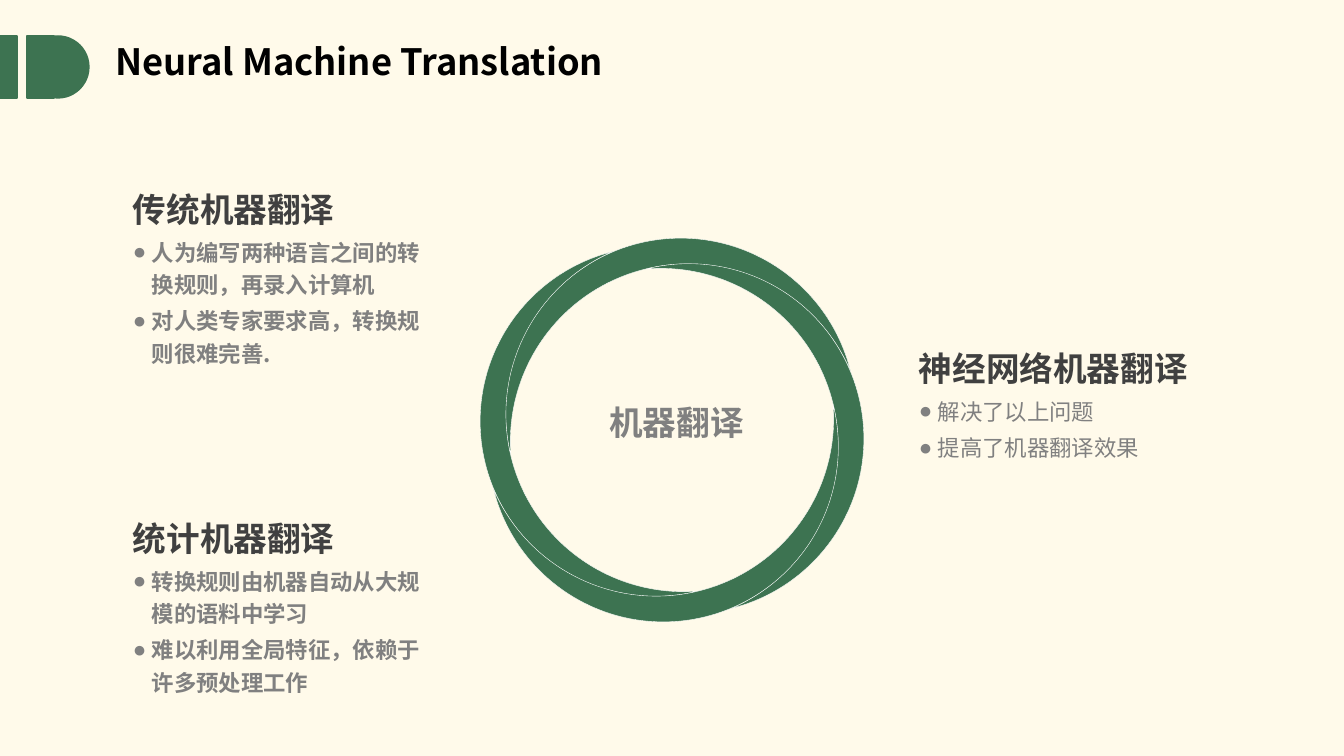
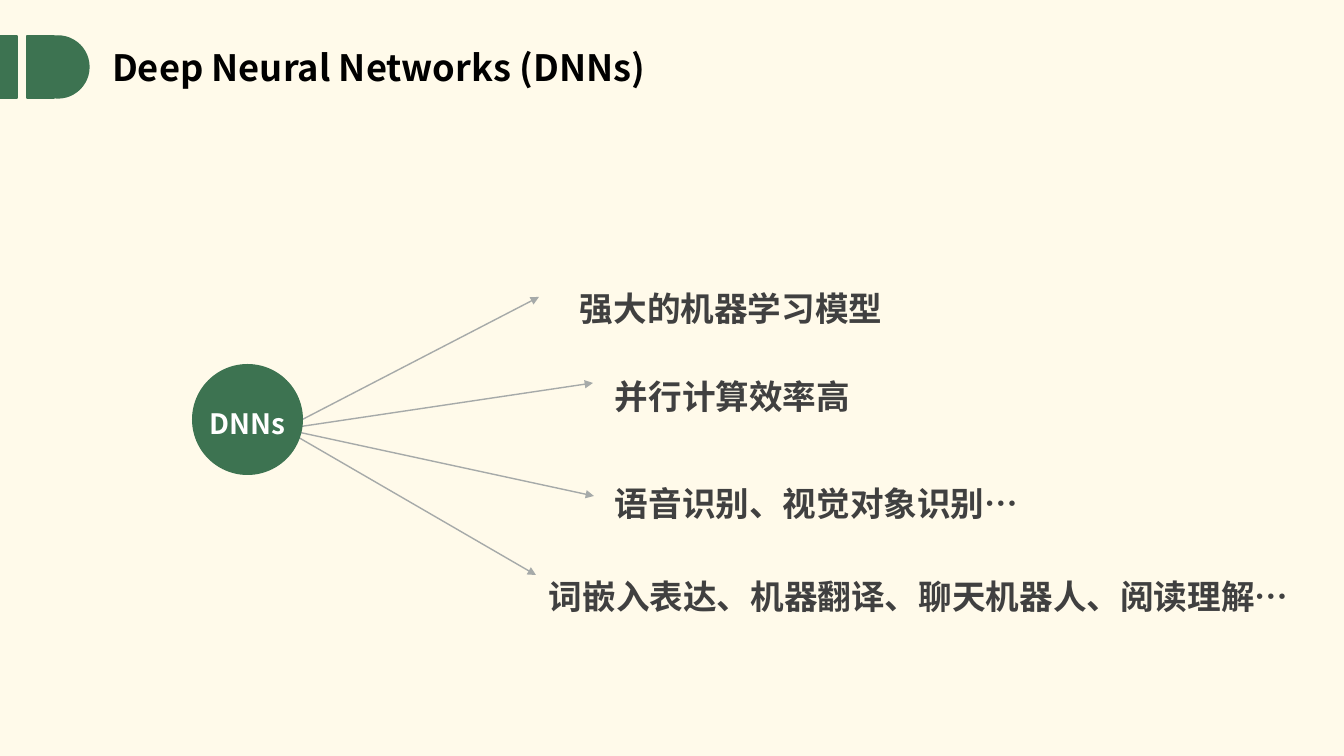
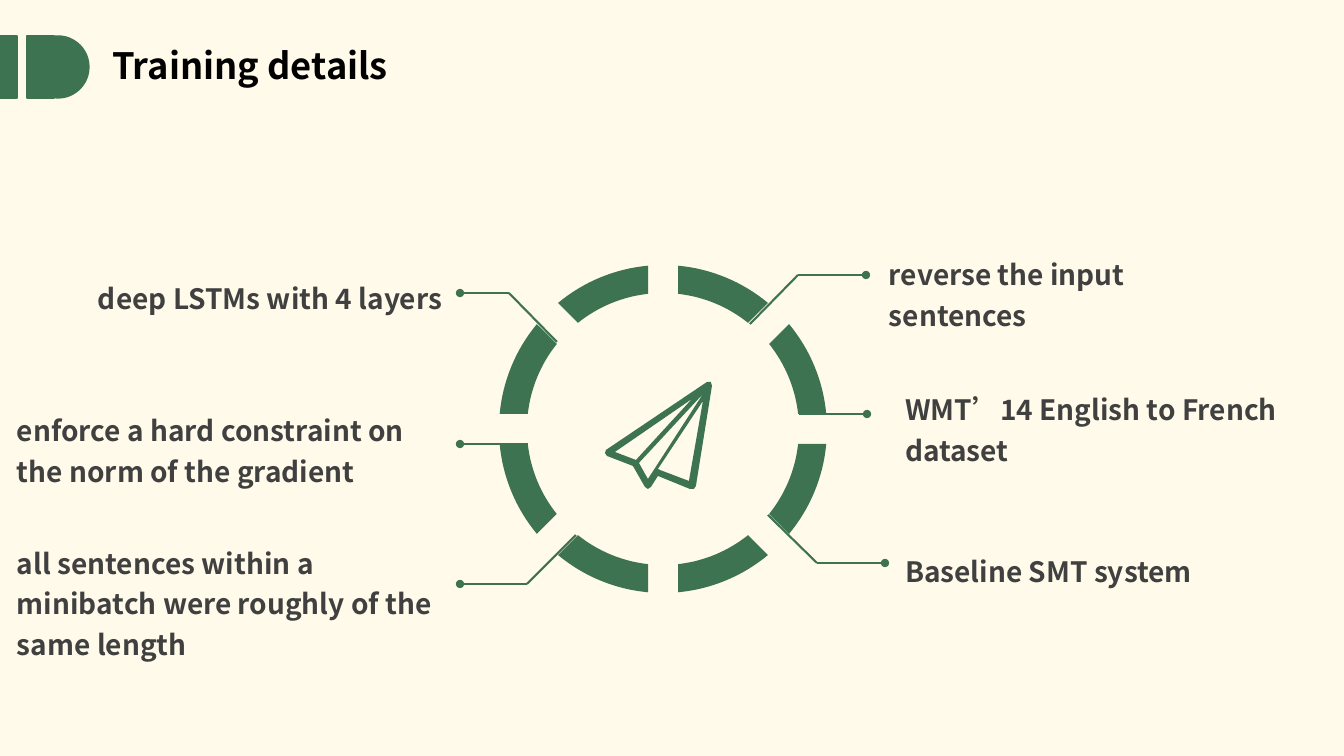
from itertools import pairwise
from math import asin, cos, degrees, radians, sin

from lxml import etree
from pptx import Presentation
from pptx.dml.color import RGBColor
from pptx.enum.shapes import MSO_CONNECTOR, MSO_SHAPE
from pptx.enum.text import MSO_ANCHOR, MSO_AUTO_SIZE, PP_ALIGN
from pptx.oxml.ns import qn
from pptx.util import Pt

PX = 914400 / 100.8
SLIDE_W, SLIDE_H = 1344, 756
TITLE_ONLY = 5

GREEN = RGBColor(0x3D, 0x73, 0x51)
CREAM = RGBColor(0xFF, 0xFA, 0xEA)
WHITE = RGBColor(0xFF, 0xFF, 0xFF)
BLACK = RGBColor(0x00, 0x00, 0x00)
DARK = RGBColor(0x40, 0x40, 0x40)
GREY = RGBColor(0x80, 0x80, 0x80)
ARROW_GREY = RGBColor(0xA6, 0xAA, 0xA9)

SANS = "Noto Sans CJK SC"
LEFT, CENTER = PP_ALIGN.LEFT, PP_ALIGN.CENTER
TOP, MIDDLE = MSO_ANCHOR.TOP, MSO_ANCHOR.MIDDLE
NO_FIT = MSO_AUTO_SIZE.NONE
RECTANGLE, OVAL, MOON = MSO_SHAPE.RECTANGLE, MSO_SHAPE.OVAL, MSO_SHAPE.MOON
STRAIGHT = MSO_CONNECTOR.STRAIGHT


def emu(*lengths):
    return [round(length * PX) for length in lengths]


# Text
def write(paragraph, text, size=24, color=DARK, bold=True, font=SANS,
          align=LEFT, spacing=1.2, before=0, bullet=None):
    if bullet:
        props = paragraph._p.get_or_add_pPr()
        indent, = emu(19)
        props.set("marL", str(indent))
        props.set("indent", str(-indent))
        etree.SubElement(props, qn("a:buFont")).set("typeface", "Arial")
        etree.SubElement(props, qn("a:buChar")).set("char", bullet)
    paragraph.alignment = align
    paragraph.line_spacing = spacing
    paragraph.space_before = Pt(before)
    run = paragraph.add_run()
    run.text = text
    run.font.size = Pt(size)
    run.font.bold = bold
    run.font.name = font
    run.font.color.rgb = color
    etree.SubElement(run.font._element, qn("a:ea")).set("typeface", SANS)


def add_text(slide, box, text, anchor=TOP, **style):
    frame = slide.shapes.add_textbox(*emu(*box)).text_frame
    frame.word_wrap = True
    frame.auto_size = NO_FIT
    frame.vertical_anchor = anchor
    frame.margin_left = frame.margin_right = 0
    frame.margin_top = frame.margin_bottom = 0
    write(frame.paragraphs[0], text, **style)
    return frame


# Shapes and lines
def paint(shape, line=None, width=1):
    shape.shadow.inherit = False
    shape.fill.solid()
    shape.fill.fore_color.rgb = GREEN
    if line is None:
        shape.line.fill.background()
    else:
        shape.line.color.rgb = line
        shape.line.width = Pt(width)
    return shape


def add_preset(slide, kind, box, **outline):
    return paint(slide.shapes.add_shape(kind, *emu(*box)), **outline)


def add_outline(slide, contours):
    """Draw closed contours, given in slide px, as one green shape."""
    first, *others = [[emu(*point) for point in c] for c in contours]
    builder = slide.shapes.build_freeform(*first[0], scale=1.0)
    builder.add_line_segments(first[1:], close=True)
    for contour in others:
        builder.move_to(*contour[0])
        builder.add_line_segments(contour[1:], close=True)
    return paint(builder.convert_to_shape())


def add_line(slide, start, end, color, width, head=None):
    line = slide.shapes.add_connector(STRAIGHT, *emu(*start, *end))
    line.line.color.rgb = color
    line.line.width = Pt(width)
    properties = line.element.spPr
    if head:
        etree.SubElement(properties.find(qn("a:ln")), qn("a:tailEnd")).set("type", head)
    etree.SubElement(properties, qn("a:effectLst"))


# Shared look
def style_layout(layout, slide):
    """Set the cream ground and move the green tab into the layout."""
    layout.background.fill.solid()
    layout.background.fill.fore_color.rgb = CREAM
    for placeholder in list(layout.placeholders):
        if placeholder.placeholder_format.idx != 0:
            placeholder.element.getparent().remove(placeholder.element)
    top, size = 36, 62
    tab = [(RECTANGLE, 0, 17), (RECTANGLE, 27, 27), (OVAL, 27, size)]
    parts = [add_preset(slide, kind, (left, top, width, size), line=GREEN)
             for kind, left, width in tab]
    for part in parts:
        layout.shapes.element.append(part.element)


def add_title(slide, text, left, top):
    title = slide.shapes.title
    title.left, title.top, title.width, title.height = emu(left, top, 869, 47)
    frame = title.text_frame
    frame.auto_size = NO_FIT
    frame.vertical_anchor = MIDDLE
    write(frame.paragraphs[0], text, size=25.9, color=BLACK, spacing=0.8)


# Slide 1: ring of crescents with three notes
def add_crescent_ring(slide, center_x, center_y, label):
    width, height, distance = 175, 350, 102.5
    for rotation in (75.9, 345.9, 165.9, 255.9):
        angle = radians(rotation + 187)
        x = center_x + distance * cos(angle)
        y = center_y + distance * sin(angle)
        crescent = add_preset(slide, MOON, (x - width / 2, y - height / 2, width, height),
                              line=WHITE, width=0.25)
        crescent.adjustments[0] = 0.152
        crescent.rotation = rotation
    add_text(slide, (center_x - 112, center_y - 33, 233, 50), label, anchor=MIDDLE,
             color=GREY, font="Arial", align=CENTER, spacing=1)


def add_note(slide, left, top, heading, points, bold=True):
    frame = add_text(slide, (left, top, 309, 187), heading)
    for point in points:
        write(frame.add_paragraph(), point, size=16, color=GREY, bold=bold,
              before=3, bullet="●")


def build_translation(slide):
    add_title(slide, "Neural Machine Translation", 105, 42)
    add_crescent_ring(slide, 672, 430, "机器翻译")
    add_note(slide, 133, 181, "传统机器翻译",
             ["人为编写两种语言之间的转换规则，再录入计算机",
              "对人类专家要求高，转换规则很难完善."])
    add_note(slide, 919, 340, "神经网络机器翻译",
             ["解决了以上问题", "提高了机器翻译效果"], bold=False)
    add_note(slide, 133, 510, "统计机器翻译",
             ["转换规则由机器自动从大规模的语料中学习",
              "难以利用全局特征，依赖于许多预处理工作"])


# Slide 2: hub with arrows to its strengths
def add_hub(slide, left, top, size, label, targets):
    origin = (left + 92, top + 65)
    for target in targets:
        add_line(slide, origin, target, ARROW_GREY, 1, head="triangle")
    frame = add_preset(slide, OVAL, (left, top, size, size)).text_frame
    frame.word_wrap = False
    frame.margin_left = frame.margin_right = 0
    frame.vertical_anchor = MIDDLE
    write(frame.paragraphs[0], label, size=20, color=WHITE, align=CENTER)


def build_networks(slide):
    add_title(slide, "Deep Neural Networks (DNNs)", 102, 48)
    add_hub(slide, 192, 364, 111, "DNNs",
            [(539, 297), (593, 383), (594, 496), (536, 575)])
    strengths = [
        (580, 280, "强大的机器学习模型"),
        (615, 368, "并行计算效率高"),
        (615, 475, "语音识别、视觉对象识别…"),
        (549, 568, "词嵌入表达、机器翻译、聊天机器人、阅读理解…"),
    ]
    for left, top, strength in strengths:
        add_text(slide, (left, top, SLIDE_W - left, 48), strength)


# Slide 3: segmented ring with leaders
def arc(center_x, center_y, radius, start, half_gap, steps=16):
    """Points of an eighth of a circle, cut parallel to its two edges."""
    trim = degrees(asin(half_gap / radius))
    angles = [radians(start + trim + (45 - 2 * trim) * i / steps) for i in range(steps + 1)]
    return [(center_x + radius * cos(a), center_y + radius * sin(a)) for a in angles]


def add_segment_ring(slide, center_x, center_y, outer, inner):
    for start in range(0, 360, 45):
        edges = [arc(center_x, center_y, radius, start, 15) for radius in (outer, inner)]
        add_outline(slide, [edges[0] + edges[1][::-1]])


def add_paper_plane(slide, left, top):
    silhouette = [(106, 0), (102, 0), (1, 68), (0, 71), (2, 74), (28, 84), (40, 105),
                  (43, 107), (46, 105), (53, 94), (85, 107), (89, 107), (91, 104), (107, 4)]
    right_wing = [(84, 99), (55, 88), (53, 87), (98, 19)]
    fold = [(34, 81), (98, 12), (43, 97)]
    left_wing = [(10, 70), (87, 17), (31, 78)]
    add_outline(slide, [[(left + x, top + y) for x, y in contour]
                        for contour in (silhouette, right_wing, fold, left_wing)])


def add_leader(slide, points):
    for start, end in pairwise(points):
        head = "oval" if end == points[-1] else None
        add_line(slide, start, end, GREEN, 1.5, head=head)


def build_training(slide):
    add_title(slide, "Training details", 102, 46)
    add_segment_ring(slide, 663, 429, 164, 136)
    add_paper_plane(slide, 605, 382)
    details = [
        ("deep LSTMs with 4 layers", (98, 275, 376, 40),
         [(557, 342), (509, 293), (460, 293)]),
        ("enforce a hard constraint on the norm of the gradient", (17, 407, 426, 82),
         [(528, 444), (460, 444)]),
        ("all sentences within a minibatch were roughly of the same length",
         (17, 540, 426, 117), [(576, 535), (527, 584), (460, 584)]),
        ("reverse the input sentences", (889, 251, 376, 82),
         [(750, 324), (798, 275), (866, 275)]),
        ("WMT’14 English to French dataset", (905, 386, 376, 82),
         [(799, 414), (867, 414)]),
        ("Baseline SMT system", (905, 548, 376, 40),
         [(768, 515), (817, 563), (885, 563)]),
    ]
    for detail, box, leader in details:
        add_leader(slide, leader)
        add_text(slide, box, detail, size=20)


def main():
    deck = Presentation()
    deck.slide_width, deck.slide_height = emu(SLIDE_W, SLIDE_H)
    layout = deck.slide_layouts[TITLE_ONLY]
    slides = [deck.slides.add_slide(layout) for _ in range(3)]
    style_layout(layout, slides[0])
    for build, slide in zip((build_translation, build_networks, build_training), slides):
        build(slide)
    deck.save("out.pptx")


if __name__ == "__main__":
    main()
